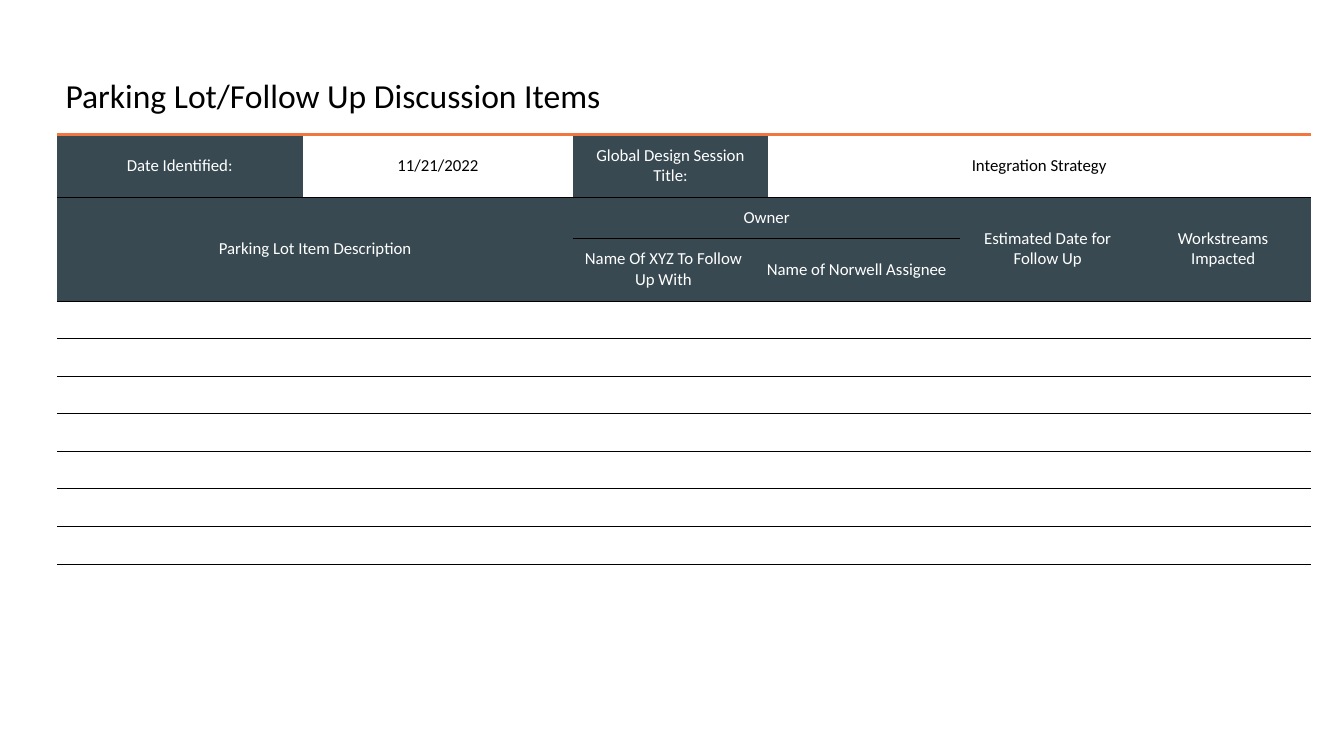
from lxml.etree import SubElement
from pptx import Presentation
from pptx.dml.color import RGBColor
from pptx.enum.text import MSO_ANCHOR as Anchor, PP_ALIGN as Align
from pptx.oxml.ns import qn
from pptx.util import Pt

BLACK = RGBColor(0x00, 0x00, 0x00)
WHITE = RGBColor(0xFF, 0xFF, 0xFF)
SLATE = RGBColor(0x38, 0x49, 0x51)
ORANGE = RGBColor(0xF3, 0x75, 0x3F)
FONT = "Calibri"

COLUMN_WIDTHS = [175.3, 193.5, 128.7, 10, 137.4, 125.4, 125.4]
HEADER_HEIGHTS = [44.6, 29.6, 44.6]
ITEM_ROWS = 7
ITEM_HEIGHT = 26.87

# row, column, row span, column span, wording, fill
HEADERS = [
    (0, 0, 1, 1, "Date Identified:", SLATE),
    (0, 1, 1, 1, "11/21/2022", None),
    (0, 2, 1, 2, "Global Design Session Title:", SLATE),
    (0, 4, 1, 3, "Integration Strategy", None),
    (1, 0, 2, 2, "Parking Lot Item Description", SLATE),
    (1, 2, 1, 3, "Owner", SLATE),
    (1, 5, 2, 1, "Estimated Date for Follow Up", SLATE),
    (1, 6, 2, 1, "Workstreams Impacted", SLATE),
    (2, 2, 1, 1, "Name Of XYZ To Follow Up With", SLATE),
    (2, 3, 1, 2, "Name of Norwell Assignee", SLATE),
]


def style_font(paragraph, size, color):
    paragraph.font.name = FONT
    paragraph.font.size = Pt(size)
    paragraph.font.color.rgb = color


def add_title(slide, wording):
    title = slide.shapes.add_textbox(Pt(46.8), Pt(56.9), Pt(886.3), Pt(54.7))
    frame = title.text_frame
    frame.word_wrap = True
    frame.margin_left = frame.margin_right = Pt(0)
    frame.margin_top = frame.margin_bottom = Pt(0)
    heading = frame.paragraphs[0]
    heading.text = wording
    heading.line_spacing = 0.9
    style_font(heading, 24, BLACK)


def set_border(cell, side, width=0, color=None):
    properties = cell._tc.get_or_add_tcPr()
    line = SubElement(properties, qn(f"a:ln{side}"), w=str(Pt(width)))
    if color is None:
        SubElement(line, qn("a:noFill"))
    else:
        fill = SubElement(line, qn("a:solidFill"))
        SubElement(fill, qn("a:srgbClr"), val=str(color))


def rule_cell(cell, is_top_row):
    set_border(cell, "L")
    set_border(cell, "R")
    if is_top_row:
        set_border(cell, "T", 3, ORANGE)
    else:
        set_border(cell, "T", 0.25, BLACK)
    set_border(cell, "B", 0.25, BLACK)
    cell.fill.background()
    cell.margin_top = cell.margin_bottom = Pt(0)


def merge_cells(grid, row, column, row_span, column_span):
    origin = grid.cell(row, column)
    if row_span * column_span > 1:
        origin.merge(grid.cell(row + row_span - 1, column + column_span - 1))
    return origin


def fill_header(cell, wording, fill):
    cell.vertical_anchor = Anchor.MIDDLE
    cell.margin_left = cell.margin_right = Pt(7.2)
    cell.margin_top = cell.margin_bottom = Pt(7.2)
    if fill is not None:
        cell.fill.solid()
        cell.fill.fore_color.rgb = fill
    label = cell.text_frame.paragraphs[0]
    label.text = wording
    label.alignment = Align.CENTER
    style_font(label, 12, BLACK if fill is None else WHITE)


def add_parking_lot(slide):
    heights = HEADER_HEIGHTS + [ITEM_HEIGHT] * ITEM_ROWS
    grid = slide.shapes.add_table(
        len(heights), len(COLUMN_WIDTHS), Pt(40.8), Pt(96),
        Pt(sum(COLUMN_WIDTHS)), Pt(sum(heights))).table
    grid.first_row = grid.horz_banding = False
    for column, width in zip(grid.columns, COLUMN_WIDTHS):
        column.width = Pt(width)
    for index, (row, height) in enumerate(zip(grid.rows, heights)):
        row.height = Pt(height)
        for cell in row.cells:
            rule_cell(cell, index == 0)
    for row, column, row_span, column_span, wording, fill in HEADERS:
        header = merge_cells(grid, row, column, row_span, column_span)
        fill_header(header, wording, fill)
    for row in range(len(HEADER_HEIGHTS), len(heights)):
        merge_cells(grid, row, 0, 1, 2)
        merge_cells(grid, row, 3, 1, 2)


def main():
    deck = Presentation()
    deck.slide_width, deck.slide_height = Pt(960), Pt(540)
    slide = deck.slides.add_slide(deck.slide_layouts[6])
    add_title(slide, "Parking Lot/Follow Up Discussion Items")
    add_parking_lot(slide)
    deck.save("out.pptx")


if __name__ == "__main__":
    main()
